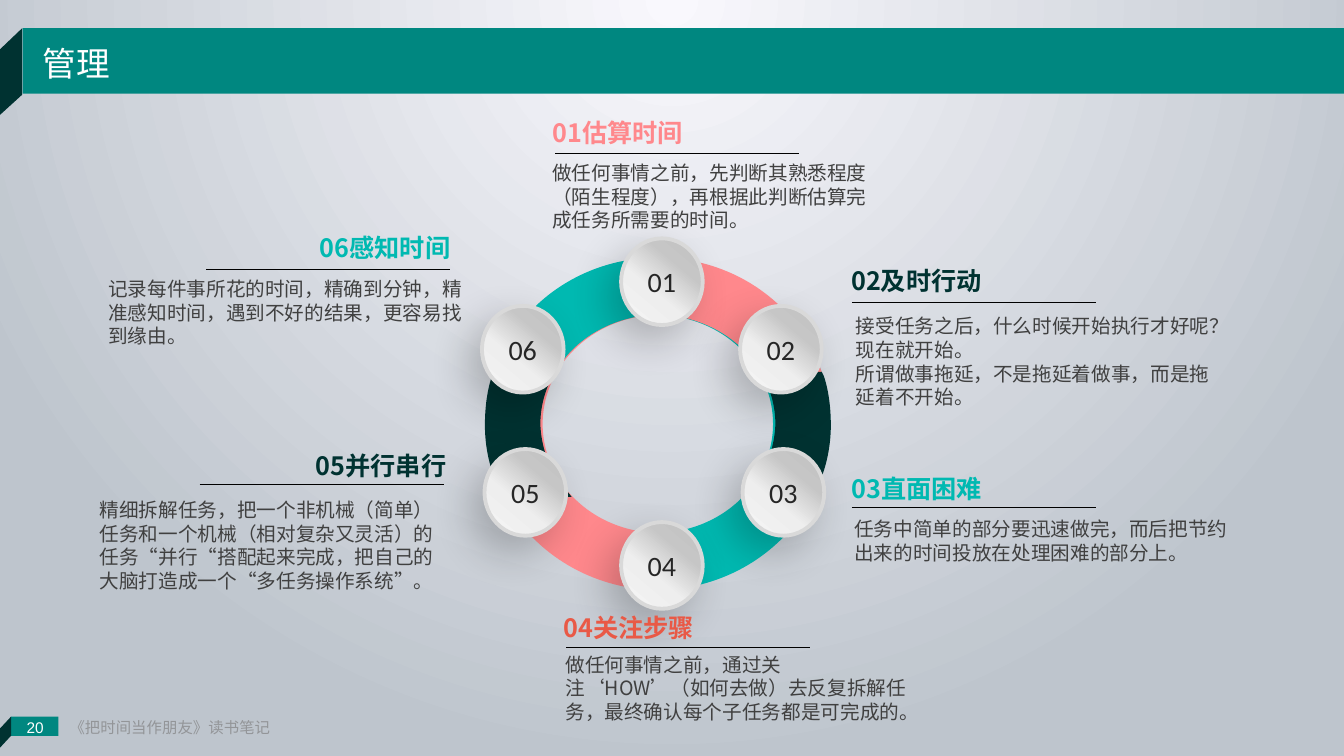
from dataclasses import dataclass

from lxml import etree
from pptx import Presentation
from pptx.dml.color import RGBColor
from pptx.enum.shapes import MSO_CONNECTOR, MSO_SHAPE
from pptx.enum.text import MSO_ANCHOR, PP_ALIGN
from pptx.oxml import parse_xml
from pptx.oxml.ns import nsdecls, qn
from pptx.util import Inches, Pt

LEFT, CENTER, RIGHT = PP_ALIGN.LEFT, PP_ALIGN.CENTER, PP_ALIGN.RIGHT
TOP, MIDDLE = MSO_ANCHOR.TOP, MSO_ANCHOR.MIDDLE
RECTANGLE, OVAL, BLOCK_ARC = MSO_SHAPE.RECTANGLE, MSO_SHAPE.OVAL, MSO_SHAPE.BLOCK_ARC


@dataclass(frozen=True)
class Theme:
    banner: str = "008780"
    dark: str = "003231"
    teal: str = "00B9B1"
    pink: str = "FF888C"
    red: str = "E95946"
    body: str = "404040"
    number: str = "262626"
    footer: str = "939598"
    white: str = "FFFFFF"
    rule: str = "000000"
    rim: str = "D9D9D9"
    backdrop: tuple = ((0, "F9F8FD"), (100, "BEC5CD"))
    knob: tuple = ((0, "BFBFBF"), (30, "C6C6C6"), (61, "EEEEEE"), (100, "F5F5F5"))
    cjk_font: str = "Noto Sans CJK SC"
    number_font: str = "Calibri"
    footer_font: str = "Arial"
    title_size: int = 24
    number_size: int = 20
    heading_size: int = 18
    body_size: int = 14
    footer_size: int = 11
    leading: float = 1.2


THEME = Theme()

# The grid has 1333 columns and 750 rows.
COLUMNS, ROWS = 1333, 750
CELL = Inches(0.01)

TITLE = "管理"
PAGE_NUMBER = "20"
FOOTER = "《把时间当作朋友》读书笔记"

# number, heading, colour, side, heading box (column, row, columns),
# rule start (column, row), body box (column, row, columns, rows), knob, paragraphs
STEPS = [
    ("01", "估算时间", THEME.pink, LEFT, (538, 111.5, 171), (550.5, 152),
     (538, 155, 342, 81), (616, 236.5),
     ["做任何事情之前，先判断其熟悉程度（陌生程度），再根据此判断估算完成任务所需要的时间。"]),
    ("02", "及时行动", THEME.dark, LEFT, (834.5, 258.5, 160), (845, 300),
     (839, 307, 380, 104), (734, 303.5),
     ["接受任务之后，什么时候开始执行才好呢？现在就开始。",
      "所谓做事拖延，不是拖延着做事，而是拖延着不开始。"]),
    ("03", "直面困难", THEME.teal, LEFT, (834.5, 465, 189), (845, 503.5),
     (837.5, 508, 395, 57), (736.5, 445.5),
     ["任务中简单的部分要迅速做完，而后把节约出来的时间投放在处理困难的部分上。"]),
    ("04", "关注步骤", THEME.red, LEFT, (549, 602.5, 160), (561.5, 642),
     (551, 642.5, 377, 81), (616, 518),
     ["做任何事情之前，通过关注‘HOW’（如何去做）去反复拆解任务，最终确认每个子任务都是可完成的。"]),
    ("05", "并行串行", THEME.dark, RIGHT, (277.5, 442, 175), (198, 481),
     (89, 489.5, 370, 104), (480.5, 445.5),
     ["精细拆解任务，把一个非机械（简单）任务和一个机械（相对复杂又灵活）的任务“并行“搭配起来完成，"
      "把自己的大脑打造成一个“多任务操作系统”。"]),
    ("06", "感知时间", THEME.teal, RIGHT, (238.5, 225.5, 218), (204.5, 267.5),
     (97.5, 270, 380, 81), (478, 303.5),
     ["记录每件事所花的时间，精确到分钟，精准感知时间，遇到不好的结果，更容易找到缘由。"]),
]
HEADING_ROWS, RULE_COLUMNS = 40, 242
KNOB_COLUMNS, KNOB_ROWS = 81, 86

# Left bands of the ring; a step of three points is a curve, of one point a line.
RING_AXIS = 652.5
UPPER_BAND = [
    [(652, 255.5)], [(652.5, 312)],
    [(612, 313), (576, 332), (556, 361)],
    [(551, 369)], [(490, 369)], [(494, 358)],
    [(519, 298), (580, 256), (652, 255.5)],
]
LOWER_BAND = [
    [(490, 369)], [(551, 369)], [(550, 370)],
    [(541, 385), (536, 403), (536, 421)],
    [(537, 447), (547, 471), (564, 489)],
    [(567, 493)], [(499, 493)], [(495, 485)],
    [(486, 466), (481, 444), (481, 422)],
    [(481, 405), (483, 388), (488, 373)],
]
# direction, half-ring column, rotation, half colour, band colours
RING_SIDES = [
    (-1, 490, 270, THEME.pink, (THEME.teal, THEME.dark)),
    (1, 485, 90, THEME.teal, (THEME.pink, THEME.dark)),
]
HALF_RING = (108, 215.424, 0.172)
FOLDS = [
    [[(0, 49)], [(0, 114)], [(22, 94)], [(22, 28)]],
    [[(11, 711)], [(-2, 725)], [(-2, 744)], [(11, 730)]],
]


def grid(*cells):
    return [round(cell * CELL) for cell in cells]


def paint(shape, color):
    shape.shadow.inherit = False
    shape.fill.solid()
    shape.fill.fore_color.rgb = RGBColor.from_string(color)
    shape.line.fill.background()


def set_gradient(fill, element, stops, direction):
    fill.gradient()
    gradient = element.find(".//" + qn("a:gradFill"))
    for child in list(gradient):
        gradient.remove(child)
    stop_list = etree.SubElement(gradient, qn("a:gsLst"))
    for position, color in stops:
        stop = etree.SubElement(stop_list, qn("a:gs"), pos=str(position * 1000))
        etree.SubElement(stop, qn("a:srgbClr"), val=color)
    gradient.append(parse_xml(direction.format(nsdecls("a"))))


def write(shape, paragraphs, *, size, color, font=THEME.cjk_font, bold=False,
          align=LEFT, anchor=TOP, wrap=True, margins=(0.1, 0.05), leading=THEME.leading):
    frame = shape.text_frame
    frame.word_wrap, frame.vertical_anchor = wrap, anchor
    frame.margin_left = frame.margin_right = Inches(margins[0])
    frame.margin_top = frame.margin_bottom = Inches(margins[1])
    for index, text in enumerate(paragraphs):
        paragraph = frame.add_paragraph() if index else frame.paragraphs[0]
        paragraph.alignment = align
        paragraph.space_before = Pt(0)
        if leading:
            paragraph.line_spacing = Pt(size * leading)
        run = paragraph.add_run()
        run.text = text
        run.font.size, run.font.bold, run.font.name = Pt(size), bold, font
        run.font.color.rgb = RGBColor.from_string(color)
        properties = run._r.get_or_add_rPr()
        properties.set("lang", "zh-CN")
        etree.SubElement(properties, qn("a:ea"), typeface=THEME.cjk_font)


def add_outline(shapes, steps, color):
    """Draw a closed outline; steps of three points become Bézier curves."""
    points = [grid(*point) for step in steps for point in step]
    builder = shapes.build_freeform(*points[0], scale=1.0)
    builder.add_line_segments(points[1:], close=True)
    shape = builder.convert_to_shape()
    lines = iter(list(shape.element.iter(qn("a:lnTo"))))
    for step in steps[1:]:
        first, *others = [next(lines) for _ in step]
        if others:
            first.tag = qn("a:cubicBezTo")
            for line in others:
                first.append(line[0])
                line.getparent().remove(line)
    paint(shape, color)
    return shape


def turned(steps, side):
    """Mirror a left band for its side and lay it a quarter turn back about its centre."""
    points = [point for step in steps for point in step]
    middle_x, middle_y = ((min(axis) + max(axis)) / 2 for axis in zip(*points))
    center_x = RING_AXIS + side * (RING_AXIS - middle_x)
    return [[(center_x + side * (y - middle_y), middle_y + x - middle_x)
             for x, y in step] for step in steps]


def add_ring(shapes):
    for side, column, rotation, half_color, band_colors in RING_SIDES:
        half = shapes.add_shape(BLOCK_ARC, *grid(column, 247, 330, 347))
        half.rotation = rotation
        if side > 0:
            half.element.spPr.find(qn("a:xfrm")).set("flipH", "1")
        for index, value in enumerate(HALF_RING):
            half.adjustments[index] = value
        paint(half, half_color)
        for band, color in zip((UPPER_BAND, LOWER_BAND), band_colors):
            add_outline(shapes, turned(band, side), color).rotation = rotation


def add_knob(shapes, number, place):
    knob = shapes.add_shape(OVAL, *grid(*place, KNOB_COLUMNS, KNOB_ROWS))
    knob.shadow.inherit = False
    set_gradient(knob.fill, knob.element, THEME.knob, '<a:lin {} ang="7800000" scaled="0"/>')
    knob.line.color.rgb = RGBColor.from_string(THEME.rim)
    knob.line.width = Pt(2.75)
    effects = knob.element.spPr.find(qn("a:effectLst"))
    shadow = etree.SubElement(effects, qn("a:outerShdw"), blurRad=str(Pt(30)),
                              dist=str(Pt(14)), dir="7800000", algn="ctr", rotWithShape="0")
    black = etree.SubElement(shadow, qn("a:srgbClr"), val=THEME.rule)
    etree.SubElement(black, qn("a:alpha"), val="22000")
    write(knob, [number], size=THEME.number_size, color=THEME.number,
          font=THEME.number_font, align=CENTER, anchor=MIDDLE, leading=None)


def add_step(shapes, heading, color, side, heading_place, rule_place, body_place, paragraphs):
    write(shapes.add_textbox(*grid(*heading_place, HEADING_ROWS)), [heading],
          size=THEME.heading_size, color=color, bold=True, align=side)
    column, row = rule_place
    rule = shapes.add_connector(MSO_CONNECTOR.STRAIGHT,
                                *grid(column, row, column + RULE_COLUMNS, row))
    rule.line.color.rgb = RGBColor.from_string(THEME.rule)
    rule.line.width = Pt(0.5)
    etree.SubElement(rule.element.spPr, qn("a:effectLst"))
    write(shapes.add_textbox(*grid(*body_place)), paragraphs,
          size=THEME.body_size, color=THEME.body)


def add_frame(slide):
    """Banner, title, page number and footer."""
    shapes = slide.shapes
    for place in ((22.5, 28, 1310.5, 65), (11, 711, 47, 19)):
        paint(shapes.add_shape(RECTANGLE, *grid(*place)), THEME.banner)
    for fold in FOLDS:
        add_outline(shapes, fold, THEME.dark)
    for text, place, color, align in ((PAGE_NUMBER, (12, 705, 46, 32), THEME.white, CENTER),
                                      (FOOTER, (56, 705, 227, 32), THEME.footer, LEFT)):
        write(shapes.add_textbox(*grid(*place)), [text], size=THEME.footer_size, color=color,
              font=THEME.footer_font, align=align, wrap=False, margins=(0.13, 0.07))
    title = shapes.title
    title.left, title.top, title.width, title.height = grid(32.5, 38, 88, 50)
    write(title, [TITLE], size=THEME.title_size, color=THEME.white, wrap=False)
    title.element.getparent().append(title.element)


def main():
    presentation = Presentation()
    presentation.slide_width, presentation.slide_height = grid(COLUMNS, ROWS)
    slide = presentation.slides.add_slide(presentation.slide_layouts[5])
    set_gradient(slide.background.fill, slide.element, THEME.backdrop,
                 '<a:path {} path="circle"><a:fillToRect l="50000" t="-80000" '
                 'r="50000" b="180000"/></a:path>')
    add_ring(slide.shapes)
    for number, name, color, side, heading, rule, body, knob, paragraphs in STEPS:
        add_knob(slide.shapes, number, knob)
        add_step(slide.shapes, number + name, color, side, heading, rule, body, paragraphs)
    add_frame(slide)
    presentation.save("out.pptx")


if __name__ == "__main__":
    main()
